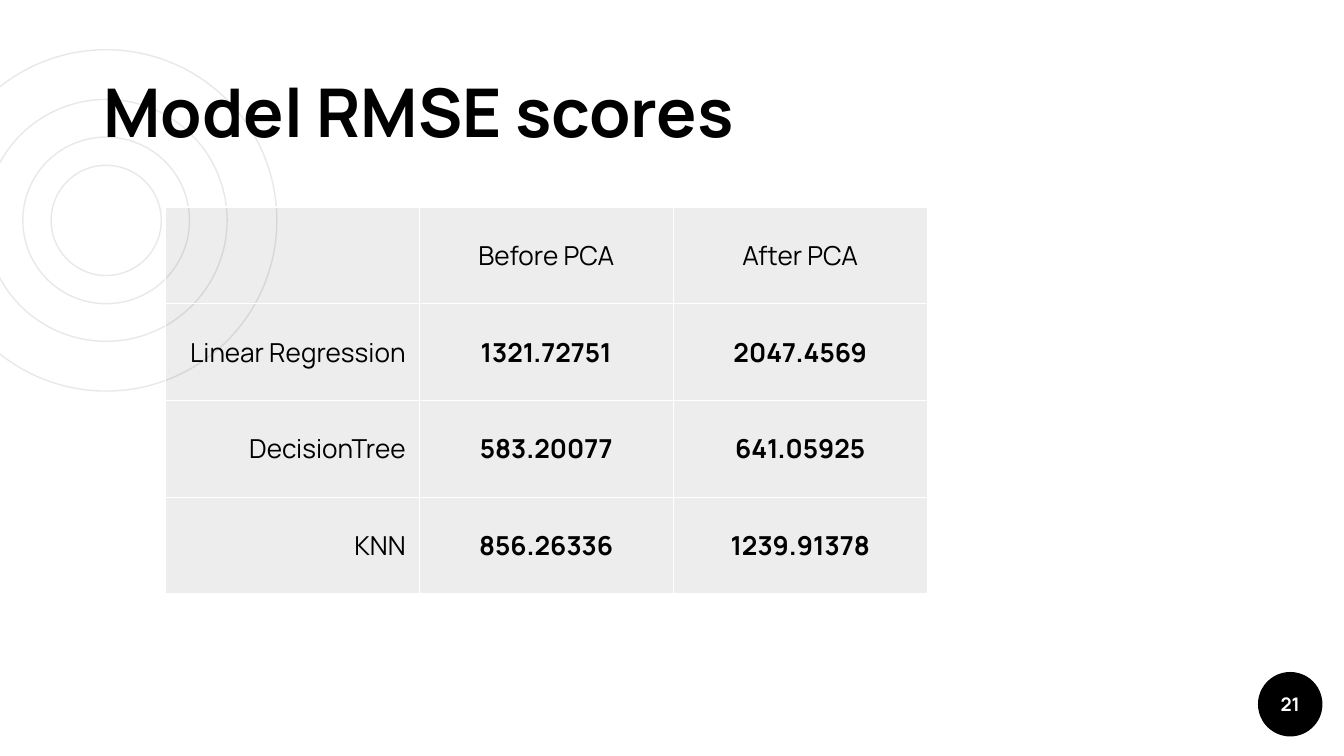
import pptx
import pptx.util
import pptx.dml.color
import pptx.enum.shapes
import pptx.enum.text
import pptx.oxml
import pptx.oxml.ns

Inches = pptx.util.Inches
Pt = pptx.util.Pt
Align = pptx.enum.text.PP_ALIGN
Anchor = pptx.enum.text.MSO_ANCHOR
Oval = pptx.enum.shapes.MSO_SHAPE.OVAL

WIDTH = 10
HEIGHT = WIDTH * 9 / 16
TITLE = "Model RMSE scores"
PAGE = "21"
SCORES = [
    ["", "Before PCA", "After PCA"],
    ["Linear Regression", "1321.72751", "2047.4569"],
    ["DecisionTree", "583.20077", "641.05925"],
    ["KNN", "856.26336", "1239.91378"],
]
RINGS = [2.54, 1.24, 1.8, 0.82]
CENTER = (0.79, 1.64)
HEAD = (0.67, 0.47, 5.71, 0.75)
BADGE = (9.36, 5, 0.48, 0.48)
GRID = {"left": 1.23, "top": 1.54, "col": 1.89, "row": 0.72}
THEME = {
    "font": "Manrope", "ink": "000000", "paper": "FFFFFF", "ring": "E8E8E8",
    "title": 36, "cell": 14, "page": 10, "line": 0.75, "tint": 7,
}


def color(name):
    return pptx.dml.color.RGBColor.from_string(THEME[name])


def write(frame, text, size, ink="ink", bold=False, align=Align.LEFT):
    frame.text = text
    para = frame.paragraphs[0]
    para.alignment = align
    for run in para.runs:
        run.font.name = THEME["font"]
        run.font.size = Pt(THEME[size])
        run.font.bold = bold
        run.font.color.rgb = color(ink)


def add_oval(slide, place):
    shape = slide.shapes.add_shape(Oval, *map(Inches, place))
    shape.shadow.inherit = False
    return shape


def add_label(slide, place, anchor):
    frame = slide.shapes.add_textbox(*map(Inches, place)).text_frame
    frame.word_wrap = True
    frame.margin_left = frame.margin_right = Inches(0.1)
    frame.margin_top = frame.margin_bottom = Inches(0.1)
    frame.vertical_anchor = anchor
    return frame


def add_rings(slide):
    x, y = CENTER
    for size in RINGS:
        ring = add_oval(slide, (x - size / 2, y - size / 2, size, size))
        ring.fill.background()
        ring.line.color.rgb = color("ring")
        ring.line.width = Pt(THEME["line"])


def add_badge(slide):
    badge = add_oval(slide, BADGE)
    badge.fill.solid()
    badge.fill.fore_color.rgb = color("ink")
    badge.line.fill.background()


def paint(cell):
    cell.fill.solid()
    cell.fill.fore_color.rgb = color("ink")
    props = cell._tc.get_or_add_tcPr()
    tone = props.find(".//" + pptx.oxml.ns.qn("a:srgbClr"))
    tone.append(pptx.oxml.parse_xml(
        f'<a:alpha {pptx.oxml.ns.nsdecls("a")} val="{THEME["tint"] * 1000}"/>'))
    for spot, side in enumerate(("lnL", "lnR", "lnT", "lnB")):
        props.insert(spot, pptx.oxml.parse_xml(
            f'<a:{side} {pptx.oxml.ns.nsdecls("a")} w="{Pt(THEME["line"])}">'
            f'<a:solidFill><a:srgbClr val="{THEME["paper"]}"/></a:solidFill></a:{side}>'))


def add_scores(slide):
    rows, cols = len(SCORES), len(SCORES[0])
    table = slide.shapes.add_table(
        rows, cols, Inches(GRID["left"]), Inches(GRID["top"]),
        Inches(GRID["col"] * cols), Inches(GRID["row"] * rows)).table
    table.first_row = False
    table.horz_banding = False
    for col in table.columns:
        col.width = Inches(GRID["col"])
    for row in table.rows:
        row.height = Inches(GRID["row"])
    for r, row in enumerate(SCORES):
        for c, text in enumerate(row):
            cell = table.cell(r, c)
            cell.margin_left = cell.margin_right = Inches(0.1)
            cell.margin_top = cell.margin_bottom = Inches(0.07)
            cell.vertical_anchor = Anchor.MIDDLE
            write(cell.text_frame, text, "cell", bold=r > 0 and c > 0,
                  align=Align.CENTER if c else Align.RIGHT)
            paint(cell)


def main():
    deck = pptx.Presentation()
    deck.slide_width = Inches(WIDTH)
    deck.slide_height = Inches(HEIGHT)
    slide = deck.slides.add_slide(deck.slide_layouts[6])
    slide.background.fill.solid()
    slide.background.fill.fore_color.rgb = color("paper")
    add_rings(slide)
    add_badge(slide)
    write(add_label(slide, HEAD, Anchor.BOTTOM), TITLE, "title", bold=True)
    write(add_label(slide, BADGE, Anchor.MIDDLE), PAGE, "page", "paper", True, Align.CENTER)
    add_scores(slide)
    deck.save("out.pptx")


if __name__ == "__main__":
    main()
